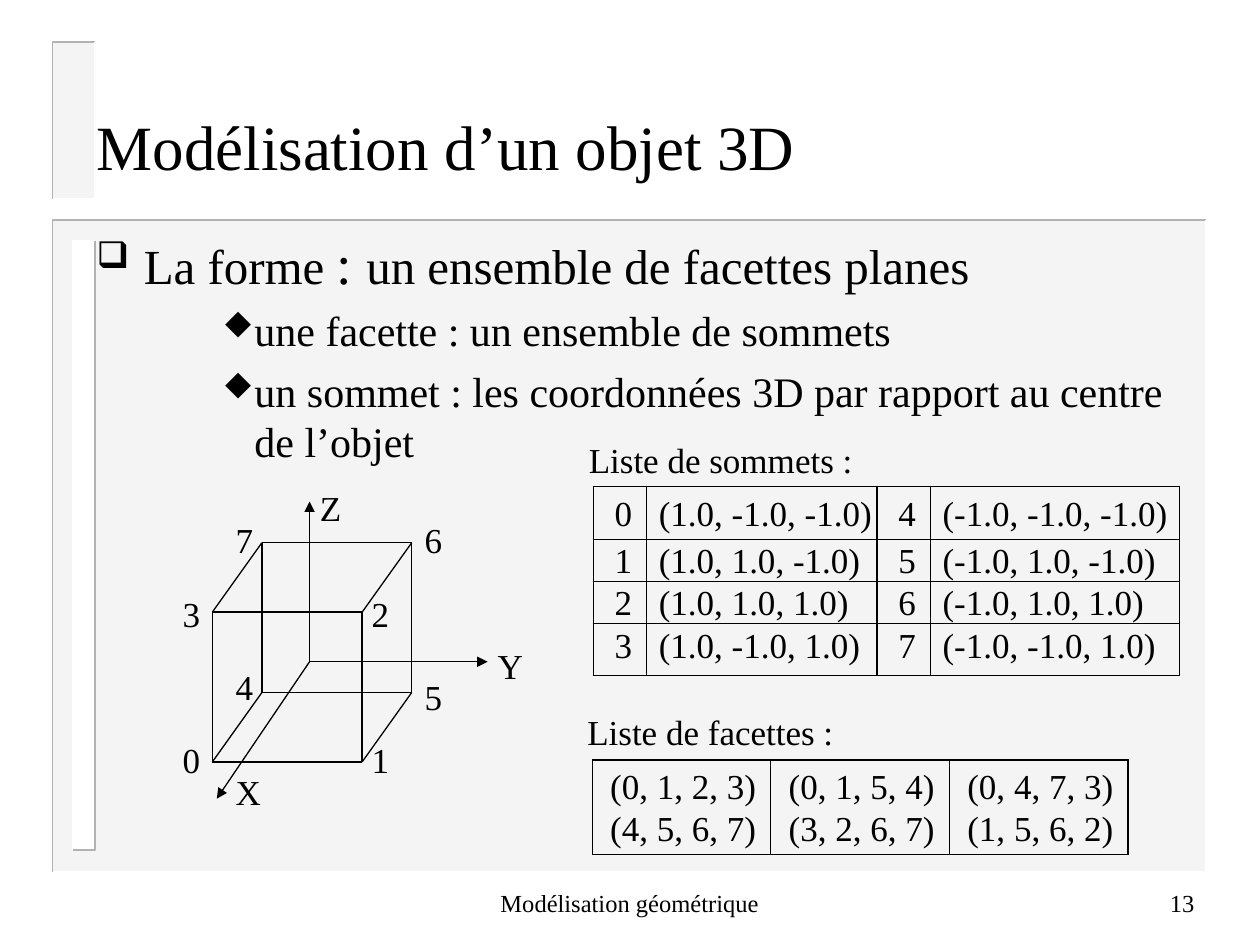
from lxml.etree import SubElement
from pptx import Presentation
from pptx.dml.color import RGBColor
from pptx.enum.shapes import MSO_CONNECTOR as CONN, MSO_SHAPE as SHAPE
from pptx.enum.text import MSO_ANCHOR as ANCHOR, PP_ALIGN as ALIGN
from pptx.oxml.ns import qn
from pptx.util import Cm, Pt

BLACK = RGBColor(0x00, 0x00, 0x00)
WHITE = RGBColor(0xFF, 0xFF, 0xFF)
PALE = RGBColor(0xEA, 0xEA, 0xEA)
GREY = RGBColor(0xB2, 0xB2, 0xB2)

VERTICES = [
    ["0", "(1.0, -1.0, -1.0)", "4", "(-1.0, -1.0, -1.0)"],
    ["1", "(1.0, 1.0, -1.0)", "5", "(-1.0, 1.0, -1.0)"],
    ["2", "(1.0, 1.0, 1.0)", "6", "(-1.0, 1.0, 1.0)"],
    ["3", "(1.0, -1.0, 1.0)", "7", "(-1.0, -1.0, 1.0)"],
]
FACES = [["(0, 1, 2, 3)\n(4, 5, 6, 7)", "(0, 1, 5, 4)\n(3, 2, 6, 7)",
          "(0, 4, 7, 3)\n(1, 5, 6, 2)"]]
LABELS = {
    "0": (3.43, 14.77), "1": (7.24, 14.77), "2": (7.24, 11.82), "3": (3.43, 11.82),
    "4": (4.5, 13.29), "5": (8.31, 13.5), "6": (8.31, 10.32), "7": (4.5, 10.32),
    "X": (4.5, 15.4), "Y": (9.78, 12.86), "Z": (6.2, 9.69),
}
LEVEL_1 = {"level": 0, "line_spacing": 0.7, "space_before": Pt(7)}
LEVEL_2 = {"level": 2, "space_before": Pt(6)}


class SlideBuilder:
    """Draw styled elements on one slide, with lengths in centimetres."""

    font = "Times New Roman"
    bullet_font = "Wingdings"
    size = 20
    line_width = 0.75

    def __init__(self, slide):
        self.s = slide

    def set_all(self, target, values):
        for name, value in values.items():
            setattr(target, name, value)

    def add_run(self, p, text, size=None):
        r = p.add_run()
        r.text = text
        self.set_all(r.font, {"name": self.font, "size": Pt(size or self.size)})
        r.font.color.rgb = BLACK

    def text(self, box, text, size=None, align=ALIGN.LEFT, anchor=ANCHOR.TOP, wrap=False):
        tf = self.s.shapes.add_textbox(*map(Cm, box)).text_frame
        self.set_all(tf, {"word_wrap": wrap, "vertical_anchor": anchor})
        p = tf.paragraphs[0]
        p.alignment = align
        self.add_run(p, text, size)

    def bullets(self, box, items):
        tf = self.s.shapes.add_textbox(*map(Cm, box)).text_frame
        tf.word_wrap = True
        for i, (char, margin, indent, values, runs) in enumerate(items):
            p = tf.add_paragraph() if i else tf.paragraphs[0]
            self.set_all(p, values)
            pPr = p._p.get_or_add_pPr()
            pPr.set("marL", str(Cm(margin)))
            pPr.set("indent", str(-Cm(indent)))
            SubElement(SubElement(pPr, qn("a:buClr")), qn("a:srgbClr"), val=str(BLACK))
            SubElement(pPr, qn("a:buSzPct"), val="75000")
            SubElement(pPr, qn("a:buFont"), typeface=self.bullet_font, charset="2")
            SubElement(pPr, qn("a:buChar"), char=char)
            for text, size in runs:
                self.add_run(p, text, size)

    def polyline(self, points, color):
        (x, y), *rest = [(Cm(px), Cm(py)) for px, py in points]
        builder = self.s.shapes.build_freeform(x, y)
        builder.add_line_segments(rest, close=False)
        sp = builder.convert_to_shape()
        sp.shadow.inherit = False
        sp.fill.background()
        sp.line.color.rgb = color
        sp.line.width = Pt(1)

    def panel(self, x, y, w, h, fill, upper, lower, alpha=None):
        sp = self.s.shapes.add_shape(SHAPE.RECTANGLE, *map(Cm, (x, y, w, h)))
        sp.shadow.inherit = False
        sp.fill.solid()
        sp.fill.fore_color.rgb = fill
        sp.line.fill.background()
        if alpha:
            clr = sp._element.spPr.find(qn("a:solidFill"))[0]
            SubElement(clr, qn("a:alpha"), val=str(alpha * 1000))
        right, bottom = x + w, y + h
        self.polyline([(right, y), (x, y), (x, bottom)], upper)
        self.polyline([(right, y), (right, bottom), (x, bottom)], lower)

    def line(self, start, end, arrow=False):
        cxn = self.s.shapes.add_connector(CONN.STRAIGHT, *map(Cm, (*start, *end)))
        cxn.line.color.rgb = BLACK
        cxn.line.width = Pt(self.line_width)
        if arrow:
            SubElement(cxn.line._get_or_add_ln(), qn("a:tailEnd"), type="triangle")
        SubElement(cxn._element.spPr, qn("a:effectLst"))

    def borders(self, cell):
        tcPr = cell._tc.get_or_add_tcPr()
        for side in ("lnL", "lnR", "lnT", "lnB"):
            ln = SubElement(tcPr, qn(f"a:{side}"), w=str(Pt(self.line_width)))
            SubElement(SubElement(ln, qn("a:solidFill")), qn("a:srgbClr"), val=str(BLACK))

    def table(self, left, top, widths, heights, rows, margins):
        box = map(Cm, (left, top, sum(widths), sum(heights)))
        tbl = self.s.shapes.add_table(len(heights), len(widths), *box).table
        self.set_all(tbl, {"first_row": False, "horz_banding": False})
        for col, width in zip(tbl.columns, widths):
            col.width = Cm(width)
        for i, (row, height) in enumerate(zip(tbl.rows, heights)):
            row.height = Cm(height)
            for cell, text, margin in zip(row.cells, rows[i], margins):
                self.borders(cell)
                cell.fill.background()
                self.set_all(cell, {
                    "margin_left": Cm(margin), "margin_right": 0,
                    "margin_top": 0, "margin_bottom": 0,
                    "vertical_anchor": ANCHOR.TOP if i else ANCHOR.MIDDLE,
                })
                tf = cell.text_frame
                for j, part in enumerate(text.split("\n")):
                    p = tf.add_paragraph() if j else tf.paragraphs[0]
                    p.line_spacing = Pt(24)
                    self.add_run(p, part)

    def cube(self, left, top, side, depth):
        right, bottom = left + side, top + side
        front = [(left, bottom), (right, bottom), (right, top), (left, top)]
        back = [(x + depth[0], y + depth[1]) for x, y in front]
        for i in range(4):
            following = (i + 1) % 4
            self.line(front[i], front[following])
            self.line(back[i], back[following])
            self.line(front[i], back[i])


def main():
    prs = Presentation()
    prs.slide_width, prs.slide_height = Cm(25.4), Cm(19.05)
    b = SlideBuilder(prs.slides.add_slide(prs.slide_layouts[6]))

    b.panel(1.06, 4.44, 23.25, 13.14, PALE, GREY, WHITE, alpha=50)
    b.panel(1.48, 4.86, 0.43, 12.28, WHITE, WHITE, GREY)
    b.panel(1.06, 0.85, 0.85, 3.17, PALE, GREY, WHITE, alpha=50)

    b.text((8.67, 17.56, 8.05, 1.27), "Modélisation géométrique", 14, ALIGN.CENTER, ANCHOR.MIDDLE)
    b.text((19.05, 17.56, 5.28, 1.27), "13", 14, ALIGN.RIGHT, ANCHOR.MIDDLE)
    b.text((1.7, 1.98, 21.59, 1.9), "Modélisation d’un objet 3D", 36, anchor=ANCHOR.MIDDLE, wrap=True)
    b.bullets((1.7, 4.85, 22.43, 12.93), [
        ("q", 0.95, 0.95, LEVEL_1,
         [("La forme ", 28), (": ", 32), ("un ensemble de facettes planes", 28)]),
        ("u", 3.18, 0.64, LEVEL_2, [("une facette : un ensemble de sommets", 24)]),
        ("u", 3.18, 0.64, LEVEL_2,
         [("un sommet : les coordonnées 3D par rapport au centre de l’objet", 24)]),
    ])

    b.cube(4.28, 12.34, 3.02, (1.0, -1.4))
    origin = (6.24, 13.34)
    for tip in ((9.83, 13.34), (6.24, 10.11), (4.37, 16.1)):
        b.line(origin, tip, arrow=True)
    for label, (x, y) in LABELS.items():
        b.text((x, y, 1.02 if label.isalpha() else 0.86, 1.12), label)

    b.text((11.62, 8.71, 6.1, 1.12), "Liste de sommets :")
    b.table(11.96, 9.8, [1.07, 4.65, 1.07, 5.03], [1.07, 0.85, 0.85, 1.04],
            VERTICES, [0.43, 0.25] * 2)
    b.text((11.59, 14.2, 5.75, 1.12), "Liste de facettes :")
    b.table(11.94, 15.32, [3.6] * 3, [1.9], FACES, [0.36] * 3)

    prs.save("out.pptx")


if __name__ == "__main__":
    main()
